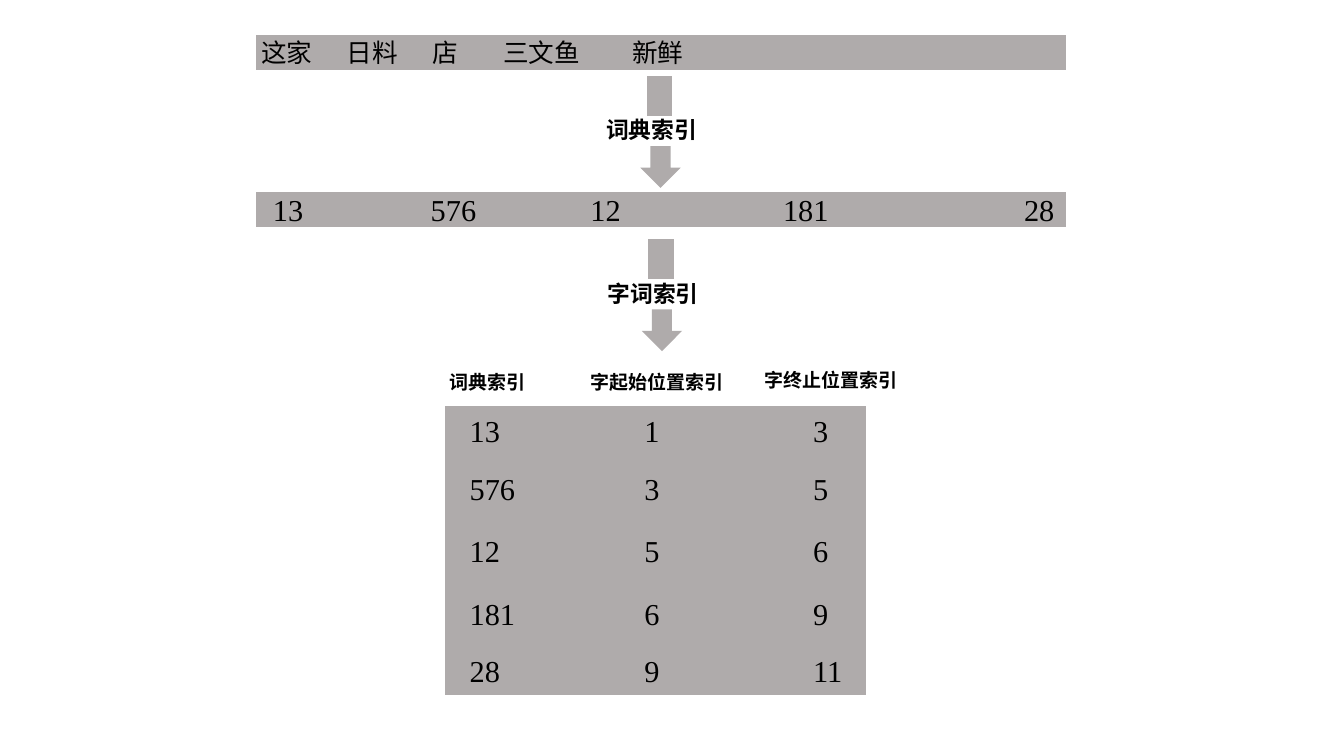
from dataclasses import dataclass

from lxml import etree
from pptx import Presentation
from pptx.dml.color import RGBColor
from pptx.enum import shapes, text
from pptx.oxml import ns
from pptx.util import Cm, Inches, Pt


@dataclass(frozen=True)
class Theme:
    gray: RGBColor = RGBColor(0xAF, 0xAB, 0xAB)
    white: RGBColor = RGBColor(0xFF, 0xFF, 0xFF)
    black: RGBColor = RGBColor(0, 0, 0)
    hans: str = "Noto Sans CJK SC"
    roman: str = "Times New Roman"
    word: int = 27
    step: int = 24
    head: int = 20
    num: int = 32
    edge: int = 3


@dataclass(frozen=True)
class Box:
    left: float
    top: float
    width: float
    height: float

    def place(self) -> tuple:
        return tuple(Inches(v) for v in (self.left, self.top, self.width, self.height))


@dataclass(frozen=True)
class Label:
    words: str
    box: Box


@dataclass(frozen=True)
class Step:
    words: str
    left: float
    top: float


THEME = Theme()
KIND = shapes.MSO_SHAPE

WORDS = ["这家", "日料", "店", "三文鱼", "新鲜"]
TABS = [1.25, 2.51, 3.54, 5.43]
BARS = [Box(3.73, top, 11.91, 0.56) for top in (0.49, 2.79)]
STEPS = [Step("词典索引", 9.38, 1.22), Step("字词索引", 9.4, 3.61)]
CODES = [13, 576, 12, 181, 28]
SPOTS = [3.9, 6.21, 8.55, 11.37, 14.9]
HEADS = [
    Label("词典索引", Box(6.48, 5.38, 1.44, 0.44)),
    Label("字起始位置索引", Box(8.55, 5.38, 2.2, 0.44)),
    Label("字终止位置索引", Box(11.1, 5.35, 2.2, 0.44)),
]
PANEL = Box(6.5, 5.93, 6.2, 4.27)
COLS = [6.78, 9.34, 11.81]
ROWS = [5.99, 6.84, 7.74, 8.66, 9.5]
ENDS = [1, 3, 5, 6, 9, 11]


def write(para, words: str, size: int, face: str, bold: bool = False) -> None:
    """Add one run, with its face set for Latin and Chinese letters."""
    run = para.add_run()
    run.text = words
    font = run.font
    font.size = Pt(size)
    font.bold = bold
    font.color.rgb = THEME.black
    font.name = face
    etree.SubElement(font._element, ns.qn("a:ea"), typeface=face)


def solid(slide, kind, box: Box, edge: bool = False):
    shape = slide.shapes.add_shape(kind, *box.place())
    shape.shadow.inherit = False
    shape.fill.solid()
    shape.fill.fore_color.rgb = THEME.gray
    if edge:
        shape.line.color.rgb = THEME.white
        shape.line.width = Pt(THEME.edge)
    else:
        shape.line.fill.background()
    return shape


def note(slide, label: Label, size: int, face: str, bold: bool = False) -> None:
    frame = slide.shapes.add_textbox(*label.box.place()).text_frame
    frame.word_wrap = True
    frame.auto_size = text.MSO_AUTO_SIZE.SHAPE_TO_FIT_TEXT
    write(frame.paragraphs[0], label.words, size, face, bold)


def digit(slide, val: int, left: float, top: float) -> None:
    label = Label(str(val), Box(left, top, 0.88, 0.64))
    note(slide, label, THEME.num, THEME.roman)


def phrase(bar) -> None:
    """Set the words of the sentence on tab stops inside the bar."""
    frame = bar.text_frame
    frame.vertical_anchor = text.MSO_ANCHOR.MIDDLE
    para = frame.paragraphs[0]
    para.alignment = text.PP_ALIGN.LEFT
    stops = etree.SubElement(para._p.get_or_add_pPr(), ns.qn("a:tabLst"))
    for stop in TABS:
        etree.SubElement(stops, ns.qn("a:tab"), pos=str(Inches(stop)), algn="l")
    write(para, "\t".join(WORDS), THEME.word, THEME.hans)


def draw(slide, step: Step) -> None:
    """Draw a stem, the step's label and an arrow."""
    x, y = step.left, step.top
    solid(slide, KIND.DOWN_ARROW, Box(x, y + 0.92, 0.59, 0.61))
    label = Label(step.words, Box(x - 0.6, y + 0.43, 1.74, 0.5))
    note(slide, label, THEME.step, THEME.hans, True)
    stem = solid(slide, KIND.FLOWCHART_PROCESS, Box(x - 0.01, y, 0.58, 0.37))
    stem.rotation = 90


def grid(slide) -> None:
    """List each word code with its first and last character position."""
    solid(slide, KIND.RECTANGLE, PANEL, True)
    for top, vals in zip(ROWS, zip(CODES, ENDS, ENDS[1:])):
        for left, val in zip(COLS, vals):
            digit(slide, val, left, top)
    for head in HEADS:
        note(slide, head, THEME.head, THEME.hans, True)


def main() -> None:
    deck = Presentation()
    deck.slide_width, deck.slide_height = Cm(50), Cm(28)
    slide = deck.slides.add_slide(deck.slide_layouts[6])
    bars = [solid(slide, KIND.RECTANGLE, box, True) for box in BARS]
    phrase(bars[0])
    for code, left in zip(CODES, SPOTS):
        digit(slide, code, left, 2.75)
    for step in STEPS:
        draw(slide, step)
    grid(slide)
    deck.save("out.pptx")


if __name__ == "__main__":
    main()
